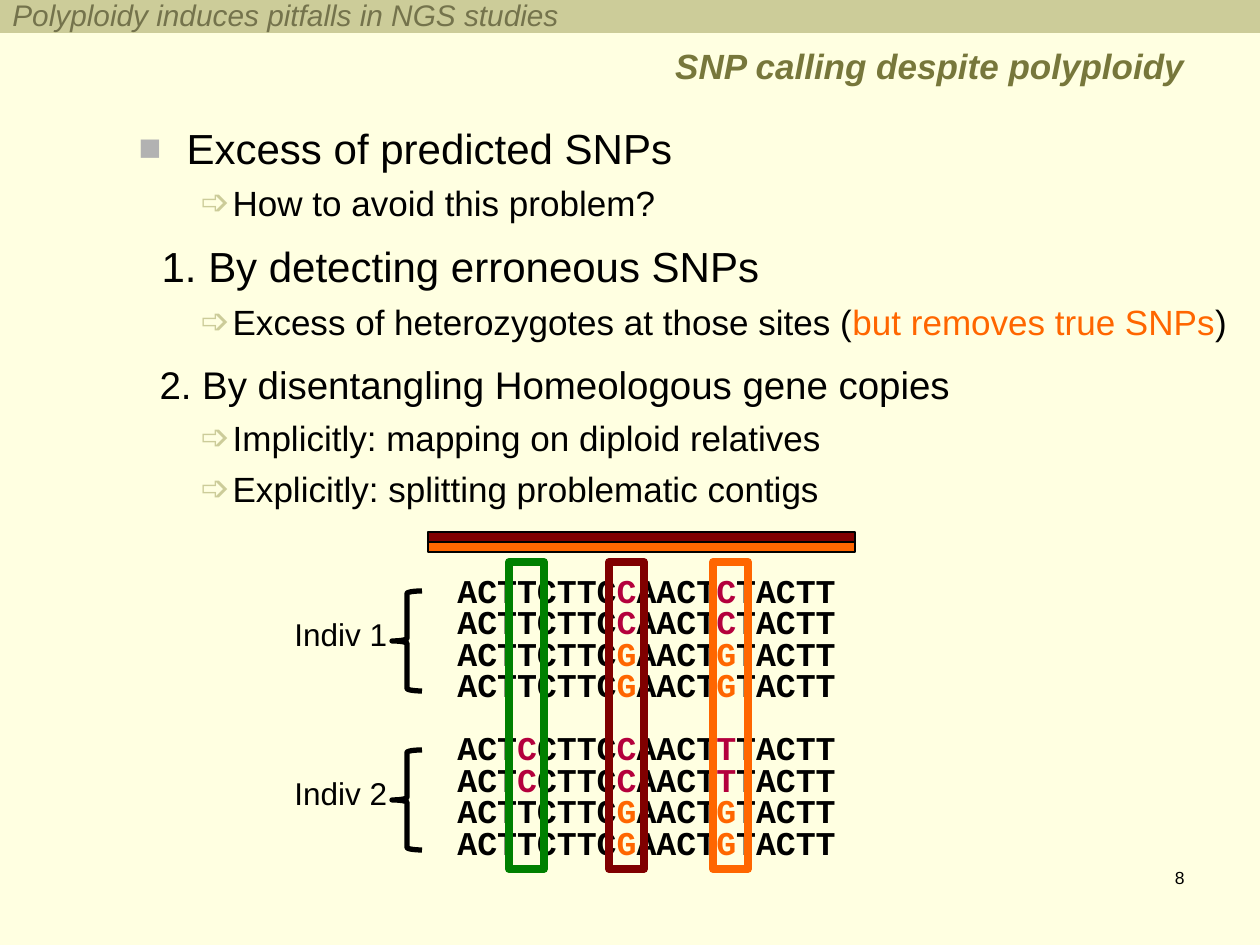
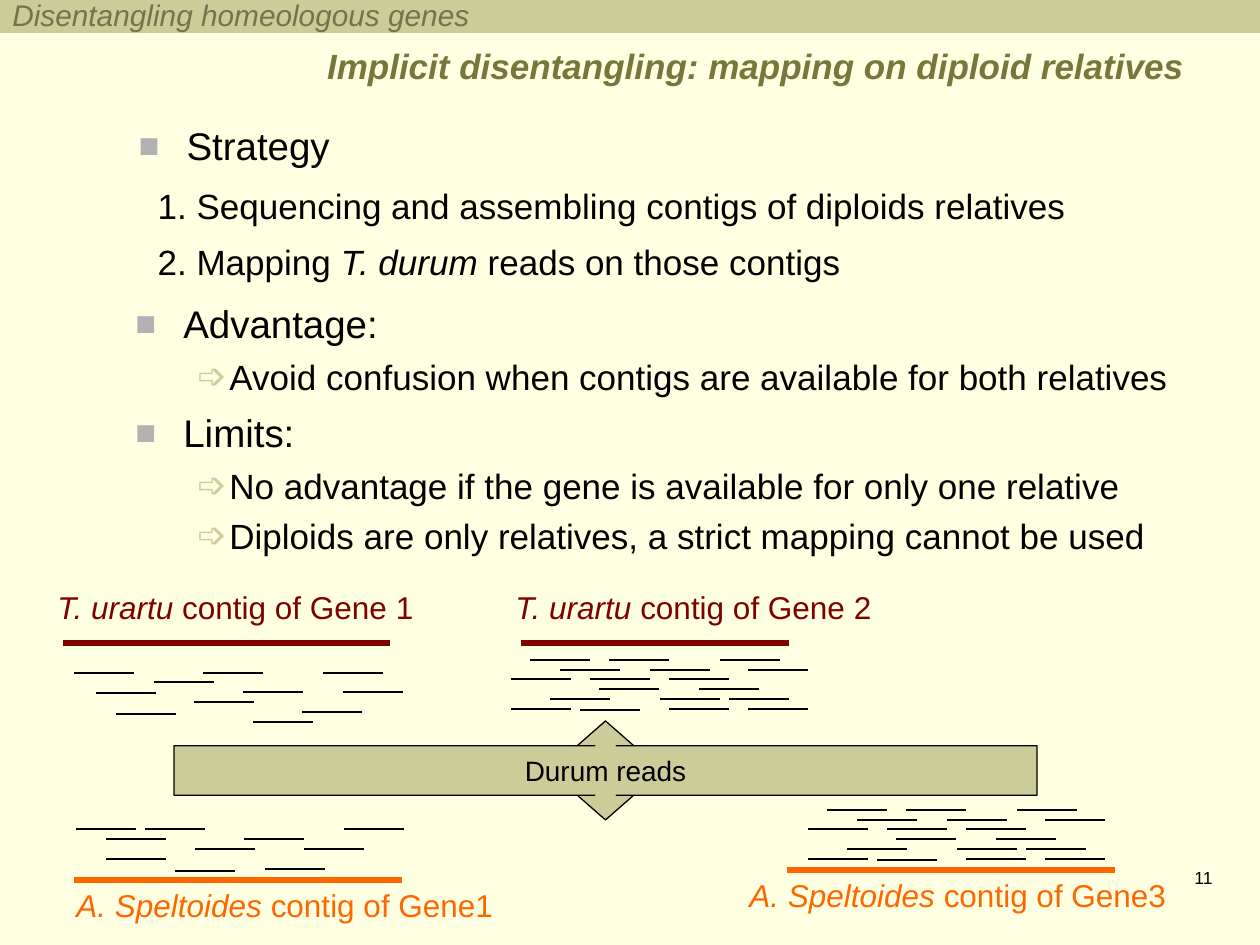
from lxml import etree
from pptx import Presentation, util as u
from pptx.dml.color import RGBColor
from pptx.enum import shapes, text
from pptx.oxml import ns

SCALE = 914400 / 126
COLORS = {
    "paper": "FFFFE1", "band": "CCCC99", "title": "77773B", "topic": "74734C",
    "ink": "000000", "square": "B2B2B2", "maroon": "800000", "orange": "FF6600",
    "crimson": "B4003C", "green": "008000",
}
BULLETS = {"point": ("■", "square", 90), "arrow": ("➩", "band", 100)}
INDENTS = {"point": (48, -48), "arrow": (94, -32)}
LABEL_HEIGHT = 50
READ_LENGTH = 60

ALLELES = ["TCC", "TCC", "TGG", "TGG", "CCT", "CCT", "TGG", "TGG"]
READS_PER_PERSON = 4
URARTU_READS = {
    0: [0, 129, 249], 9: [80], 19: [169, 269], 20: [22], 29: [120],
    39: [228], 41: [42], 49: [179],
}
SPELTOIDES_READS = {
    0: [0, 69, 268], 10: [30, 168], 20: [119, 228], 30: [30], 40: [189], 42: [99],
}
DENSE_READS = {
    0: [19, 98, 209], 10: [49, 139, 237], 19: [0, 79, 158], 29: [88, 188],
    39: [39, 149, 218], 49: [0, 158, 237], 50: [69],
}


def px(length):
    return u.Emu(round(length * SCALE))


def rgb(name):
    return RGBColor.from_string(COLORS[name])


class Builder:
    def __init__(self):
        self.deck = Presentation()
        self.deck.slide_width, self.deck.slide_height = px(1260), px(945)
        fill = self.deck.slide_master.background.fill
        fill.solid()
        fill.fore_color.rgb = rgb("paper")
        self.page = None

    def new_page(self, topic, title, number, number_left):
        self.page = self.deck.slides.add_slide(self.deck.slide_layouts[1])
        self.shape("RECTANGLE", 0, 0, 1260, 33, fill="band")
        frame = self.place(self.page.shapes.title, 63, 38, 1134, 77)
        self.fill_para(frame.paragraphs[0], [title], 20, "title", align="RIGHT",
                       bold=True, italic=True)
        self.text(0, 0, 1260, 30, [topic], 17, "topic", anchor="MIDDLE", italic=True)
        self.text(number_left, 861, 262, 63, [number], 10, align="RIGHT")

    def place(self, box, left, top, width, height, anchor="TOP"):
        box.left, box.top, box.width, box.height = map(px, (left, top, width, height))
        frame = box.text_frame
        frame.word_wrap = True
        frame.auto_size = text.MSO_AUTO_SIZE.NONE
        frame.vertical_anchor = text.MSO_ANCHOR[anchor]
        return frame

    def text_frame(self, left, top, width, height, anchor="TOP"):
        box = self.page.shapes.add_textbox(0, 0, 0, 0)
        return self.place(box, left, top, width, height, anchor)

    def fill_para(self, para, spans, size, color="ink", align="LEFT", font="Arial",
                  bold=False, italic=False):
        para.alignment = text.PP_ALIGN[align]
        base = {"color": color, "italic": italic}
        looks = [base]
        for item in spans:
            words, change = (item, {}) if isinstance(item, str) else item
            para.add_run().text = words
            looks.append(base | change)
        fonts = [para.font, *(span.font for span in para.runs)]
        for face, look in zip(fonts, looks):
            face.name, face.size, face.bold = font, u.Pt(size), bold
            face.italic = look["italic"]
            face.color.rgb = rgb(look["color"])

    def text(self, left, top, width, height, spans, size, color="ink",
             anchor="TOP", **style):
        frame = self.text_frame(left, top, width, height, anchor)
        self.fill_para(frame.paragraphs[0], spans, size, color, **style)

    def label(self, left, top, width, spans, color="ink"):
        frame = self.text_frame(left, top, width, LABEL_HEIGHT)
        frame.word_wrap = False
        frame.auto_size = text.MSO_AUTO_SIZE.SHAPE_TO_FIT_TEXT
        self.fill_para(frame.paragraphs[0], spans, 18, color)

    def body(self, left, top, width, height, items):
        self.outline(self.place(self.page.placeholders[1], left, top, width, height), items)

    def outline(self, frame, items):
        for index, (kind, size, before, *spans) in enumerate(items):
            para = frame.add_paragraph() if index else frame.paragraphs[0]
            para.level = 3 if kind == "arrow" else 0
            para.space_before = u.Pt(before)
            self.bullet(para, kind, size)
            self.fill_para(para, spans, size)

    def bullet(self, para, kind, size):
        props = para._p.get_or_add_pPr()
        margin, indent = INDENTS.get(kind, (size - 1, 0))
        props.set("marL", str(px(margin)))
        props.set("indent", str(px(indent)))
        if kind not in BULLETS:
            etree.SubElement(props, ns.qn("a:buNone"))
            return
        mark, color, percent = BULLETS[kind]
        tint = etree.SubElement(props, ns.qn("a:buClr"))
        etree.SubElement(tint, ns.qn("a:srgbClr"), val=COLORS[color])
        etree.SubElement(props, ns.qn("a:buSzPct"), val=str(percent * 1000))
        etree.SubElement(props, ns.qn("a:buFont"), typeface="Arial")
        etree.SubElement(props, ns.qn("a:buChar"), char=mark)

    def shape(self, kind, left, top, width, height, fill=None, line=None, weight=0.75):
        box = self.page.shapes.add_shape(
            shapes.MSO_SHAPE[kind], *map(px, (left, top, width, height)))
        box.shadow.inherit = False
        if fill:
            box.fill.solid()
            box.fill.fore_color.rgb = rgb(fill)
        else:
            box.fill.background()
        if line:
            box.line.color.rgb = rgb(line)
            box.line.width = u.Pt(weight)
        else:
            box.line.fill.background()
        return box

    def rule(self, left, top, length, color="ink", weight=0.75):
        line = self.page.shapes.add_connector(
            shapes.MSO_CONNECTOR.STRAIGHT, *map(px, (left, top, left + length, top)))
        line.line.color.rgb = rgb(color)
        line.line.width = u.Pt(weight)
        etree.SubElement(line._element.spPr, ns.qn("a:effectLst"))

    def reads(self, left, top, rows):
        for down, starts in rows.items():
            for start in starts:
                self.rule(left + start, top + down, READ_LENGTH)

    def alignment(self, left, top, width, height):
        frame = self.text_frame(left, top, width, height)
        frame.word_wrap = False
        for index, (first, second, third) in enumerate(ALLELES):
            para = frame.add_paragraph() if index else frame.paragraphs[0]
            para.line_spacing = u.Pt(18)
            if index == READS_PER_PERSON:
                para.space_before = u.Pt(18)
            start = ["ACTTCTTC"] if first == "T" else ["ACT", self.allele(first), "CTTC"]
            spans = [*start, self.allele(second), "AACT", self.allele(third), "TACTT"]
            self.fill_para(para, spans, 19, font="Courier New", bold=True)

    def allele(self, base):
        return base, {"color": "orange" if base == "G" else "crimson"}


def add_snp_page(builder):
    builder.new_page("Polyploidy induces pitfalls in NGS studies",
                     "SNP calling despite polyploidy", "8", 935)
    builder.body(126, 116, 1134, 397, [
        ("point", 24, 0, "Excess of predicted SNPs"),
        ("arrow", 20, 5, "How to avoid this problem?"),
        ("number", 24, 10, "1. By detecting erroneous SNPs"),
        ("arrow", 20, 5, "Excess of heterozygotes at those sites (",
         ("but removes true SNPs", {"color": "orange"}), ")"),
        ("number", 22, 11, "2. By disentangling Homeologous gene copies"),
        ("arrow", 20, 5, "Implicitly: mapping on diploid relatives"),
        ("arrow", 20, 5, "Explicitly: splitting problematic contigs"),
    ])
    for row, color in enumerate(("maroon", "orange")):
        builder.shape("RECTANGLE", 428, 532 + 10 * row, 427, 10, color, "ink")
    builder.alignment(445, 572, 407, 301)
    for person in range(2):
        top = 591 + 159 * person
        builder.shape("LEFT_BRACE", 392, top, 30, 100, line="ink", weight=3)
        builder.label(282, top + 18, 120, [f"Indiv {person + 1}"])
    for left, color in ((509, "green"), (609, "maroon"), (713, "orange")):
        builder.shape("RECTANGLE", left, 562, 35, 307, line=color, weight=4.5)


def add_mapping_page(builder):
    italic = {"italic": True}
    builder.new_page("Disentangling homeologous genes",
                     "Implicit disentangling: mapping on diploid relatives", "11", 963)
    builder.body(126, 116, 1070, 179, [
        ("point", 22, 0, "Strategy"),
        ("number", 20, 9, "1. Sequencing and assembling contigs of diploids relatives"),
        ("number", 20, 8, "2. Mapping ", ("T. durum", italic), " reads on those contigs"),
    ])
    builder.outline(builder.text_frame(123, 294, 1071, 129), [
        ("point", 22, 0, "Advantage:"),
        ("arrow", 20, 5, "Avoid confusion when contigs are available for both relatives"),
    ])
    builder.outline(builder.text_frame(123, 403, 1071, 179), [
        ("point", 22, 0, "Limits:"),
        ("arrow", 20, 5, "No advantage if the gene is available for only one relative"),
        ("arrow", 20, 5, "Diploids are only relatives, a strict mapping cannot be used"),
    ])

    builder.reads(74, 673, URARTU_READS)
    builder.reads(76, 829, SPELTOIDES_READS)
    builder.reads(511, 660, DENSE_READS)
    builder.reads(808, 810, DENSE_READS)

    callout = builder.shape("UP_DOWN_ARROW_CALLOUT", 174, 721, 863, 99, "band", "ink")
    for index, value in enumerate((0.215, 0.285, 0.25, 0.5)):
        callout.adjustments[index] = value
    builder.fill_para(callout.text_frame.paragraphs[0], ["Durum reads"], 16, align="CENTER")

    for left, length, gene in ((63, 327, "Gene 1"), (521, 268, "Gene 2")):
        builder.rule(left, 643, length, "maroon", 3)
        builder.label(left - 18, 582, 384,
                      [("T. urartu", italic), f" contig of {gene}"], "maroon")
    for left, top, text_left, gene in ((74, 880, 64, "Gene1"), (787, 870, 737, "Gene3")):
        builder.rule(left, top, 328, "orange", 3)
        builder.label(text_left, top, 449,
                      [("A. Speltoides ", italic), f"contig of {gene}"], "orange")


def main():
    builder = Builder()
    add_snp_page(builder)
    add_mapping_page(builder)
    builder.deck.save("out.pptx")


if __name__ == "__main__":
    main()
